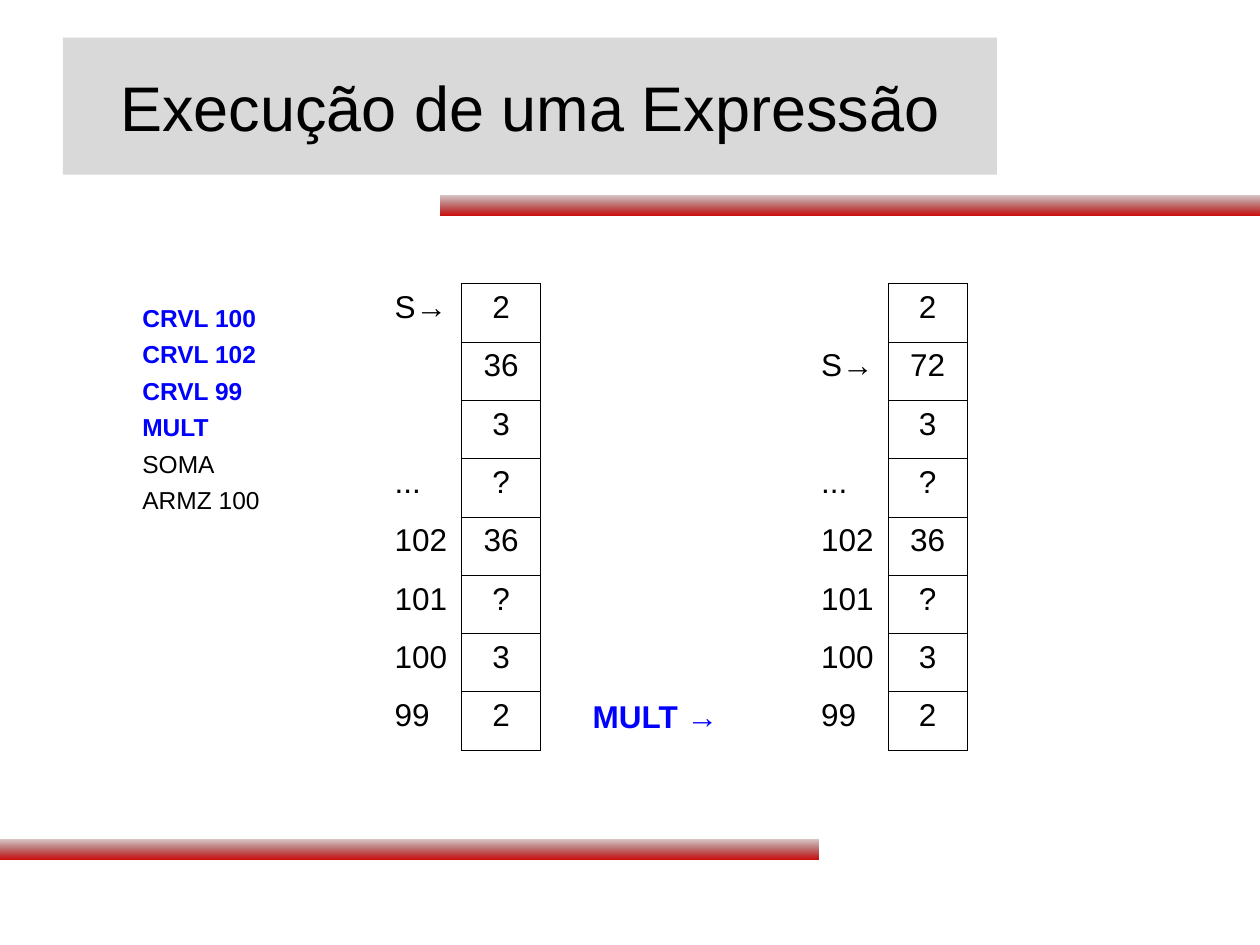
import pptx
import pptx.dml.color
import pptx.enum.shapes
import pptx.enum.text
import pptx.oxml
import pptx.oxml.ns
import pptx.util
from lxml import etree

Cm, Pt = pptx.util.Cm, pptx.util.Pt
ALIGN = pptx.enum.text.PP_ALIGN
ANCHOR = pptx.enum.text.MSO_ANCHOR
RECTANGLE = pptx.enum.shapes.MSO_SHAPE.RECTANGLE

FONT = "Arial"
BLACK, BLUE, GREY = "000000", "0000FF", "D9D9D9"
BAR_DARK, BAR_RED = "5E0000", "CC0000"
NO_STYLE = "{2D5ABB26-0587-4C30-8999-92F81FD0307C}"

TITLE = "Execução de uma Expressão"
EXECUTED = ["CRVL 100", "CRVL 102", "CRVL 99", "MULT"]
PENDING = ["SOMA", "ARMZ 100"]
STEP = "MULT →"
MEMORY = [("...", "?"), ("102", "36"), ("101", "?"), ("100", "3"), ("99", "2")]
STACKS = [
    (7.7, [("S→", "2"), ("", "36"), ("", "3")] + MEMORY),
    (16.3, [("", "2"), ("S→", "72"), ("", "3")] + MEMORY),
]
BARS = [(0, 16.92), (8.89, 3.94)]
BAR_WIDTH, BAR_HEIGHT = 16.51, 0.41
STACK_TOP, COLUMN_WIDTH, ROW_HEIGHT = 5.72, 1.6, 1.175


def rgb(value):
    return pptx.dml.color.RGBColor.from_string(value)


def write(para, text, size, color=BLACK, bold=False, align=ALIGN.LEFT):
    para.alignment = align
    span = para.add_run()
    span.text = text
    span.font.name = FONT
    span.font.size = Pt(size)
    span.font.bold = bold
    span.font.color.rgb = rgb(color)


def add_rectangle(page, left, top, width, height):
    box = page.shapes.add_shape(RECTANGLE, Cm(left), Cm(top), Cm(width), Cm(height))
    box.shadow.inherit = False
    box.line.fill.background()
    return box


def add_bar(page, left, top):
    """Red bar whose upper edge fades towards transparency."""
    fill = add_rectangle(page, left, top, BAR_WIDTH, BAR_HEIGHT).fill
    fill.gradient()
    fill.gradient_angle = 270
    stops = list(fill.gradient_stops)
    for stop, position, color in zip(stops, (0, 1), (BAR_DARK, BAR_RED)):
        stop.position = position
        stop.color.rgb = rgb(color)
    first_color = fill._fill._gradFill.find(".//" + pptx.oxml.ns.qn("a:srgbClr"))
    etree.SubElement(first_color, pptx.oxml.ns.qn("a:alpha"), val="21000")


def add_text_box(page, left, top, width, height):
    box = page.shapes.add_textbox(Cm(left), Cm(top), Cm(width), Cm(height))
    box.text_frame.word_wrap = True
    return box.text_frame


def border(cell, sides):
    properties = cell._tc.get_or_add_tcPr()
    for index, side in enumerate(sides):
        properties.insert(index, pptx.oxml.parse_xml(
            f'<a:ln{side} {pptx.oxml.ns.nsdecls("a")} w="{Pt(0.45)}"><a:solidFill>'
            f'<a:srgbClr val="{BLACK}"/></a:solidFill></a:ln{side}>'))


def add_stack(page, left, rows):
    """Memory column with its addresses and the stack pointer on the left."""
    table = page.shapes.add_table(
        len(rows), 2, Cm(left), Cm(STACK_TOP),
        Cm(2 * COLUMN_WIDTH), Cm(len(rows) * ROW_HEIGHT)).table
    table.first_row = table.horz_banding = False
    table._tbl.tblPr.find(pptx.oxml.ns.qn("a:tableStyleId")).text = NO_STYLE
    for row, values in zip(table.rows, rows):
        row.height = Cm(ROW_HEIGHT)
        columns = zip(row.cells, values, (ALIGN.LEFT, ALIGN.CENTER), ("R", "LRTB"))
        for cell, value, align, sides in columns:
            cell.fill.background()
            border(cell, sides)
            if value:
                write(cell.text_frame.paragraphs[0], value, 18, align=align)


def main():
    deck = pptx.Presentation()
    deck.slide_width, deck.slide_height = Cm(25.4), Cm(19.05)
    page = deck.slides.add_slide(deck.slide_layouts[6])

    for left, top in BARS:
        add_bar(page, left, top)

    program = add_text_box(page, 1.5, 5.92, 4.39, 6.8)
    program.margin_left, program.margin_top = Cm(1.37), Cm(0.18)
    for index, instruction in enumerate(EXECUTED + PENDING):
        para = program.add_paragraph() if index else program.paragraphs[0]
        if index:
            para.space_before = Pt(4.1)
        done = index < len(EXECUTED)
        write(para, instruction, 14, BLUE if done else BLACK, done)

    title = add_rectangle(page, 1.27, 0.76, 18.83, 2.76)
    title.fill.solid()
    title.fill.fore_color.rgb = rgb(GREY)
    title.text_frame.word_wrap = True
    title.text_frame.vertical_anchor = ANCHOR.MIDDLE
    write(title.text_frame.paragraphs[0], TITLE, 36, align=ALIGN.CENTER)

    for left, rows in STACKS:
        add_stack(page, left, rows)

    step = add_text_box(page, 11.7, 13.92, 4.39, 1.19)
    write(step.paragraphs[0], STEP, 18, BLUE, True)

    deck.save("out.pptx")


if __name__ == "__main__":
    main()
